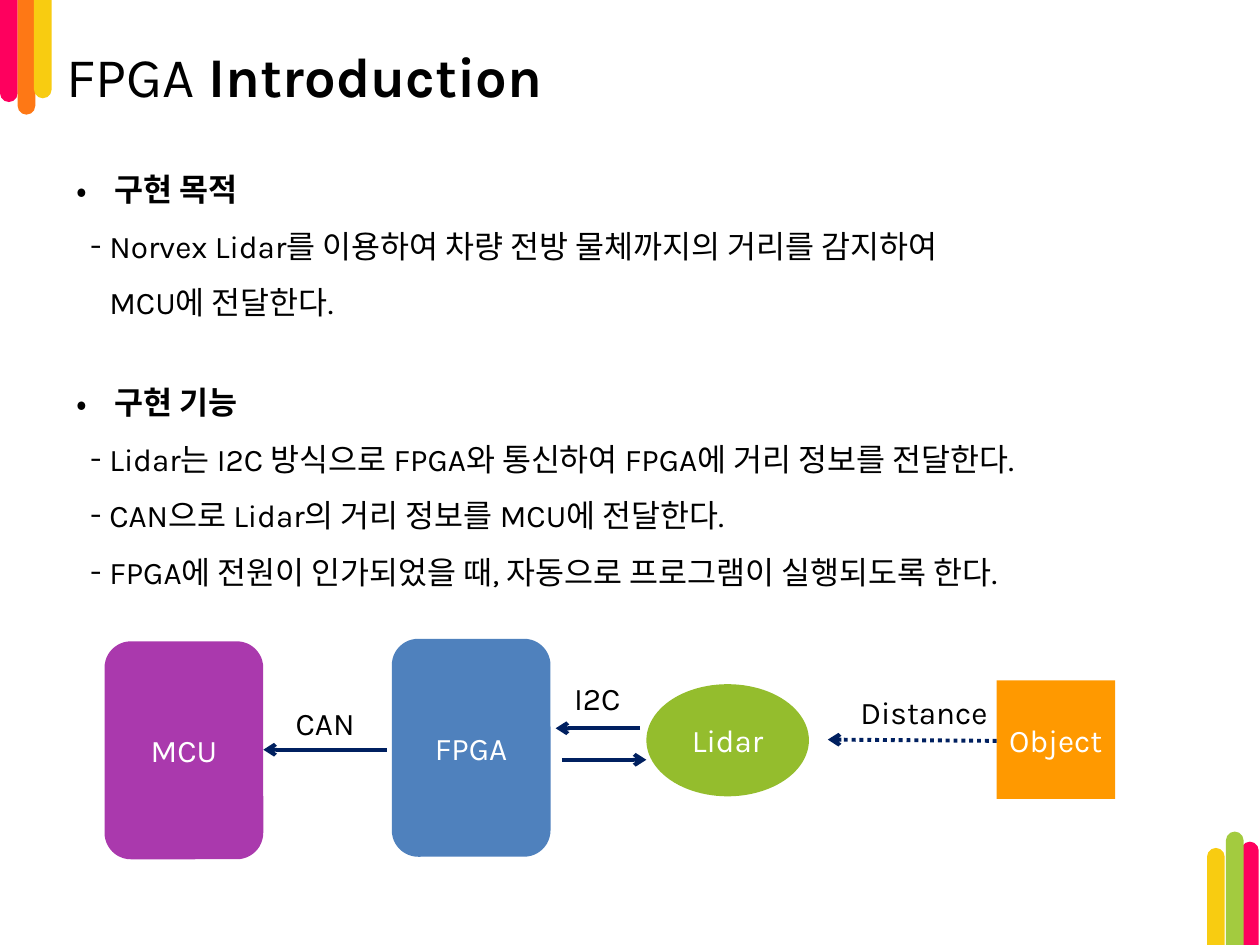
from dataclasses import dataclass

from lxml import etree
from pptx import Presentation
from pptx.dml.color import RGBColor
from pptx.enum.dml import MSO_LINE
from pptx.enum.shapes import MSO_CONNECTOR, MSO_SHAPE
from pptx.enum.text import MSO_ANCHOR, PP_ALIGN
from pptx.oxml.ns import qn
from pptx.util import Inches, Pt

LEFT, CENTER = PP_ALIGN.LEFT, PP_ALIGN.CENTER
TOP, MIDDLE = MSO_ANCHOR.TOP, MSO_ANCHOR.MIDDLE
RECT, ROUND, OVAL = MSO_SHAPE.RECTANGLE, MSO_SHAPE.ROUNDED_RECTANGLE, MSO_SHAPE.OVAL
BAR = MSO_SHAPE.ROUND_2_SAME_RECTANGLE
STRAIGHT = MSO_CONNECTOR.STRAIGHT
DOTTED = MSO_LINE.ROUND_DOT


@dataclass(frozen=True)
class Theme:
    latin: str = "Karla"
    asian: str = "Noto Sans CJK KR"
    title: int = 32
    body: int = 18
    stroke: float = 2.25
    black: str = "000000"
    white: str = "FFFFFF"
    navy: str = "002060"
    pink: str = "FE005E"
    orange: str = "FE7815"
    yellow: str = "F8CC11"
    lime: str = "A3CB3F"
    green: str = "94BD2D"
    purple: str = "AA39AD"
    blue: str = "4F81BD"
    amber: str = "FF9900"


def write(para, text, *, theme, size, color, bold=False):
    """Add a formatted run to a paragraph."""
    run = para.add_run()
    run.text = text
    font = run.font
    font.size, font.bold, font.name = Pt(size), bold, theme.latin
    font.color.rgb = RGBColor.from_string(color)
    asian = etree.Element(qn("a:ea"), typeface=theme.asian)
    font._element.find(qn("a:latin")).addnext(asian)


class Deck:
    """Hold the theme and the current slide, and draw elements on it."""

    def __init__(self, theme, slide):
        self.theme, self.slide = theme, slide

    def shape(self, kind, box, fill, text=""):
        item = self.slide.shapes.add_shape(kind, *map(Inches, box))
        item.shadow.inherit = False
        item.fill.solid()
        item.fill.fore_color.rgb = RGBColor.from_string(fill)
        item.line.fill.background()
        if text:
            frame = item.text_frame
            frame.vertical_anchor = MIDDLE
            para = frame.paragraphs[0]
            para.alignment = CENTER
            write(para, text, theme=self.theme, size=self.theme.body,
                  color=self.theme.white)
        return item

    def bar(self, box, fill, turn=0):
        item = self.shape(BAR, box, fill)
        item.adjustments[0], item.adjustments[1] = 0.5, 0
        item.rotation = turn

    def frame(self, box, anchor=TOP):
        frame = self.slide.shapes.add_textbox(*map(Inches, box)).text_frame
        frame.word_wrap = True
        frame.vertical_anchor = anchor
        return frame

    def title(self, box, *parts):
        para = self.frame(box, MIDDLE).paragraphs[0]
        for text, bold in parts:
            write(para, text, theme=self.theme, size=self.theme.title,
                  color=self.theme.black, bold=bold)

    def label(self, box, text, align=CENTER):
        para = self.frame(box).paragraphs[0]
        para.alignment = align
        write(para, text, theme=self.theme, size=self.theme.body,
              color=self.theme.black)

    def points(self, box, lines):
        frame = self.frame(box)
        for place, (mark, text) in enumerate(lines):
            para = frame.add_paragraph() if place else frame.paragraphs[0]
            para.line_spacing = 1.5
            head = mark == "•"
            self.mark(para, mark, 0.3 if head else 0.26, 0.3 if head else 0.15)
            write(para, text, theme=self.theme, size=self.theme.body,
                  color=self.theme.black, bold=head)

    def mark(self, para, mark, left, hang):
        props = para._p.get_or_add_pPr()
        props.set("marL", str(Inches(left)))
        if mark:
            props.set("indent", str(-Inches(hang)))
            face = self.theme.asian if mark == "•" else self.theme.latin
            etree.SubElement(props, qn("a:buFont"), typeface=face)
            etree.SubElement(props, qn("a:buChar"), char=mark)
        else:
            props.set("indent", "0")
            etree.SubElement(props, qn("a:buNone"))

    def arrow(self, start, end, dash=None):
        item = self.slide.shapes.add_connector(
            STRAIGHT, *map(Inches, (*start, *end)))
        line = item.line
        line.color.rgb = RGBColor.from_string(self.theme.navy)
        line.width = Pt(self.theme.stroke)
        if dash:
            line.dash_style = dash
        props = item._element.spPr
        etree.SubElement(props.find(qn("a:ln")), qn("a:tailEnd"), type="arrow")
        etree.SubElement(props, qn("a:effectLst"))


def main():
    """Build the slide and save it."""
    show = Presentation()
    show.slide_width, show.slide_height = Inches(10), Inches(7.5)
    look = Theme()
    deck = Deck(look, show.slides.add_slide(show.slide_layouts[6]))

    for left, tall, fill in ((0, 0.81, look.pink), (0.14, 0.91, look.orange),
                             (0.27, 0.78, look.yellow)):
        deck.bar((left, 0, 0.14, tall), fill, turn=180)
    for left, top, fill in ((9.85, 6.68, look.pink), (9.73, 6.6, look.lime),
                            (9.58, 6.73, look.yellow)):
        deck.bar((left, top, 0.14, 7.5 - top), fill)

    deck.title((0.43, 0.28, 9, 0.64), ("FPGA ", False), ("Introduction", True))
    deck.points((0.51, 1.15, 8.66, 1.46), (
        ("•", "구현 목적"),
        ("-", "Norvex Lidar를 이용하여 차량 전방 물체까지의 거리를 감지하여"),
        ("", "MCU에 전달한다."),
    ))
    deck.points((0.51, 2.84, 8.66, 1.92), (
        ("•", "구현 기능"),
        ("-", "Lidar는 I2C 방식으로 FPGA와 통신하여 FPGA에 거리 정보를 전달한다."),
        ("-", "CAN으로 Lidar의 거리 정보를 MCU에 전달한다."),
        ("-", "FPGA에 전원이 인가되었을 때, 자동으로 프로그램이 실행되도록 한다."),
    ))

    for kind, box, fill, text in (
        (OVAL, (5.13, 5.43, 1.29, 0.89), look.green, "Lidar"),
        (ROUND, (0.83, 5.09, 1.26, 1.73), look.purple, "MCU"),
        (ROUND, (3.11, 5.07, 1.26, 1.73), look.blue, "FPGA"),
        (RECT, (7.91, 5.4, 0.94, 0.94), look.amber, "Object"),
    ):
        deck.shape(kind, box, fill, text)

    deck.arrow((3.07, 5.95), (2.09, 5.95))
    deck.arrow((5.08, 5.78), (4.41, 5.78))
    deck.arrow((4.46, 6.03), (5.13, 6.03))
    deck.arrow((7.91, 5.88), (6.57, 5.87), DOTTED)

    deck.label((2.09, 5.54, 0.98, 0.4), "CAN")
    deck.label((4.25, 5.34, 0.98, 0.4), "I2C")
    deck.label((6.73, 5.45, 1.34, 0.4), "Distance", LEFT)
    show.save("out.pptx")


if __name__ == "__main__":
    main()
